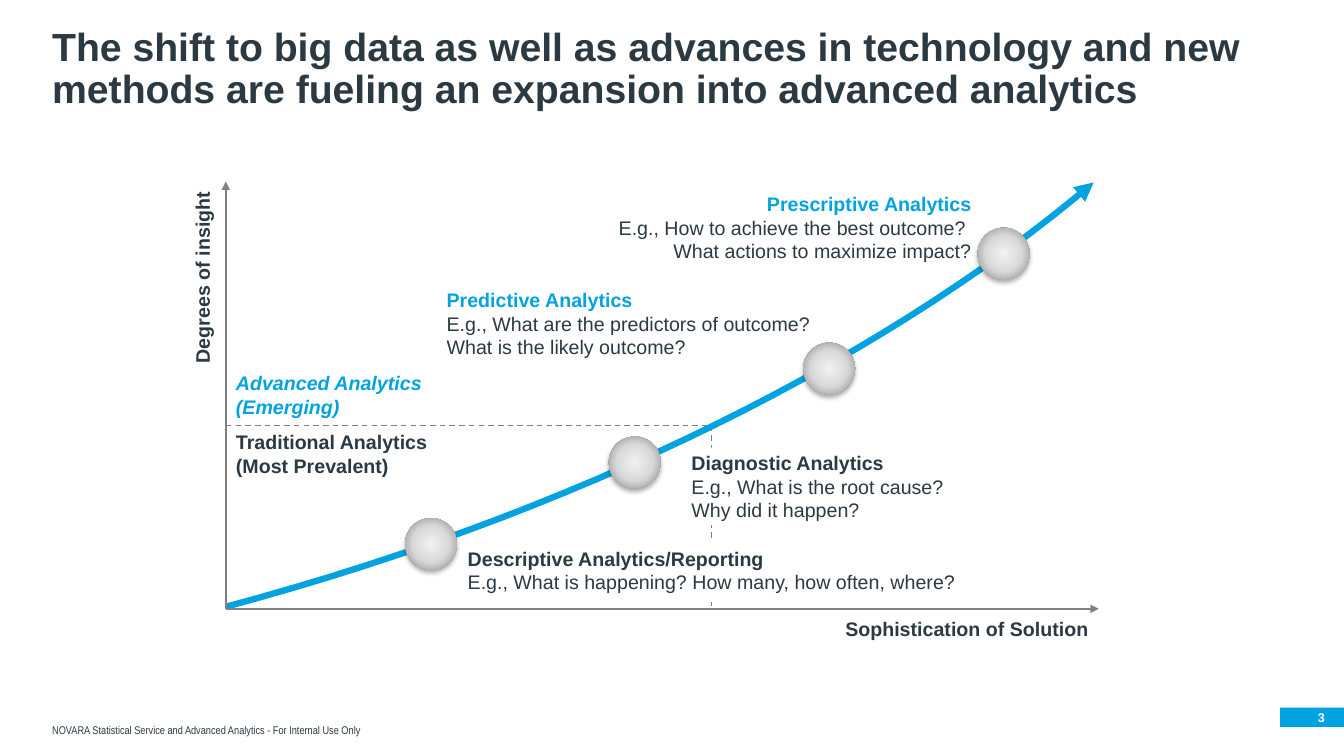
from lxml import etree
from pptx import Presentation
from pptx.dml.color import RGBColor
from pptx.enum.dml import MSO_LINE
from pptx.enum.shapes import MSO_CONNECTOR, MSO_SHAPE
from pptx.enum.text import MSO_ANCHOR, PP_ALIGN
from pptx.oxml import parse_xml
from pptx.oxml.ns import nsdecls, qn
from pptx.util import Pt

INK = {"dark": "2B3A42", "blue": "00A3E0", "gray": "808080",
       "white": "FFFFFF", "pale": "F2F2F2", "mid": "D9D9D9", "black": "000000"}
RGB = {name: RGBColor.from_string(code) for name, code in INK.items()}

deck = Presentation()
deck.slide_width, deck.slide_height = Pt(960), Pt(540)
slide = deck.slides.add_slide(deck.slide_layouts[6])
shapes = slide.shapes


def text(words, box, size=14, font="Arial", ink="dark", rest=None, bold=True,
         slant=False, right=False, anchor=MSO_ANCHOR.MIDDLE, pad=(0, 0, 0, 0),
         fill=None, turn=0, space=None):
    """Add a box: one paragraph per item; rest is (ink, bold) after the first."""
    item = shapes.add_textbox(*map(Pt, box))
    item.rotation = turn
    if fill:
        item.fill.solid()
        item.fill.fore_color.rgb = RGB[fill]
    frame = item.text_frame
    frame.word_wrap = True
    frame.vertical_anchor = anchor
    (frame.margin_left, frame.margin_top,
     frame.margin_right, frame.margin_bottom) = map(Pt, pad)
    for n, part in enumerate(words):
        para = frame.paragraphs[0] if n == 0 else frame.add_paragraph()
        para.text = part
        para.alignment = PP_ALIGN.RIGHT if right else PP_ALIGN.LEFT
        if space:
            para.line_spacing = space
        tone, heavy = rest if rest and n else (ink, bold)
        for run in para.runs:
            run.font.name, run.font.size = font, Pt(size)
            run.font.bold, run.font.italic = heavy, slant
            run.font.color.rgb = RGB[tone]


def stroke(item, ink, width, arrow=False, dash=False):
    """Style a line, with an optional arrowhead at its end."""
    item.line.color.rgb = RGB[ink]
    item.line.width = Pt(width)
    if dash:
        item.line.dash_style = MSO_LINE.DASH
    if arrow:
        etree.SubElement(item.line._get_or_add_ln(), qn("a:tailEnd"), type="triangle")
    if item._element.spPr.find(qn("a:effectLst")) is None:
        etree.SubElement(item._element.spPr, qn("a:effectLst"))


INSET = (7.2, 3.6, 7.2, 3.6)
LOW = MSO_ANCHOR.BOTTOM

# Title, footer and page number
text(["The shift to big data as well as advances in technology and new "
      "methods are fueling an expansion into advanced analytics"],
     (30.2, 23, 892.8, 60.5), size=28, anchor=LOW, pad=INSET, space=0.9)
text(["NOVARA Statistical Service and Advanced Analytics - For Internal Use Only"],
     (30.2, 503.3, 717.8, 26.6), size=8, font="Arial Narrow", bold=False,
     anchor=LOW, pad=INSET)
text(["3"], (914.4, 505.5, 45.6, 13.7), size=9, ink="white", right=True,
     pad=(0, 0, 13.7, 0), fill="blue")

# Dashed dividers
LEFT, BASE, SPLIT, LEVEL = 161.3, 434.9, 508.3, 303.8
for ends in [(LEFT, LEVEL, 506.9, LEVEL), (SPLIT, LEVEL, SPLIT, BASE)]:
    rule = shapes.add_connector(MSO_CONNECTOR.STRAIGHT, *map(Pt, ends))
    stroke(rule, "gray", 1, dash=True)

# Growth curve, sampled from a cubic Bezier
KNOTS = [(LEFT, 433.4), (416.9, 365), (635, 254.2), (781.2, 130.3)]
STEPS = 30
track = []
for n in range(STEPS + 1):
    t = n / STEPS
    mix = ((1 - t) ** 3, 3 * t * (1 - t) ** 2, 3 * t * t * (1 - t), t ** 3)
    track.append(tuple(Pt(sum(w * k[axis] for w, k in zip(mix, KNOTS)))
                       for axis in (0, 1)))
pen = shapes.build_freeform(*track[0])
pen.add_line_segments(track[1:], close=False)
curve = pen.convert_to_shape()
curve.fill.background()
curve.shadow.inherit = False
stroke(curve, "blue", 4.5, arrow=True)

# Axes and their names
for ends in [(LEFT, BASE, LEFT, 129.6), (LEFT, BASE, 784.8, BASE)]:
    axis = shapes.add_connector(MSO_CONNECTOR.STRAIGHT, *map(Pt, ends))
    stroke(axis, "gray", 1.5, arrow=True)
text(["Sophistication of Solution"], (455.8, 437, 329, 24.5), right=True, pad=INSET)
text(["Degrees of insight"], (3.6, 258.5, 281.5, 24.5), right=True, pad=INSET,
     turn=270)

# Stages
PLAIN = ("dark", False)
text(["Diagnostic Analytics", "E.g., What is the root cause? Why did it happen?"],
     (493.9, 319.7, 197.3, 55.4), rest=PLAIN, fill="white")
text(["Descriptive Analytics/Reporting",
      "E.g., What is happening? How many, how often, where?"],
     (334.1, 384.5, 401, 45.4), rest=PLAIN, fill="white")
text(["Prescriptive Analytics",
      "E.g., How to achieve the best outcome? \vWhat actions to maximize impact?"],
     (404.6, 139.7, 289.4, 45.4), ink="blue", rest=PLAIN, right=True)
text(["Predictive Analytics",
      "E.g., What are the predictors of outcome? What is the likely outcome?"],
     (319, 205.9, 259.9, 60.5), ink="blue", rest=PLAIN, anchor=MSO_ANCHOR.TOP)

# Zones above and below the divider
text(["Traditional Analytics", "(Most Prevalent)"], (168.5, 306.7, 181.4, 34.6))
text(["Advanced Analytics", "(Emerging)"], (168.5, 265, 181.4, 33.8),
     ink="blue", slant=True)

# Balls on the curve
STOPS = "".join(f'<a:gs pos="{pos}"><a:srgbClr val="{INK[name]}"/></a:gs>'
                for pos, name in [(0, "pale"), (50000, "mid"), (100000, "gray")])
GLOW = (f'<a:gradFill {nsdecls("a")} rotWithShape="1"><a:gsLst>{STOPS}</a:gsLst>'
        '<a:path path="circle"><a:fillToRect l="50000" t="50000" r="50000" '
        'b="50000"/></a:path></a:gradFill>')
SHADE = (f'<a:effectLst {nsdecls("a")}><a:outerShdw blurRad="{Pt(3.5)}" '
         f'dist="{Pt(2.2)}" dir="5400000" algn="t" rotWithShape="0">'
         f'<a:srgbClr val="{INK["black"]}"><a:alpha val="32000"/></a:srgbClr>'
         '</a:outerShdw></a:effectLst>')
SIZE = 37
for x, y in [(289.4, 370.1), (434.9, 311.8), (573.8, 244.8), (698.4, 162.7)]:
    ball = shapes.add_shape(MSO_SHAPE.OVAL, Pt(x), Pt(y), Pt(SIZE), Pt(SIZE))
    ball.line.fill.background()
    props = ball._element.spPr
    props.find(qn("a:prstGeom")).addnext(parse_xml(GLOW))
    props.append(parse_xml(SHADE))

deck.save("out.pptx")
